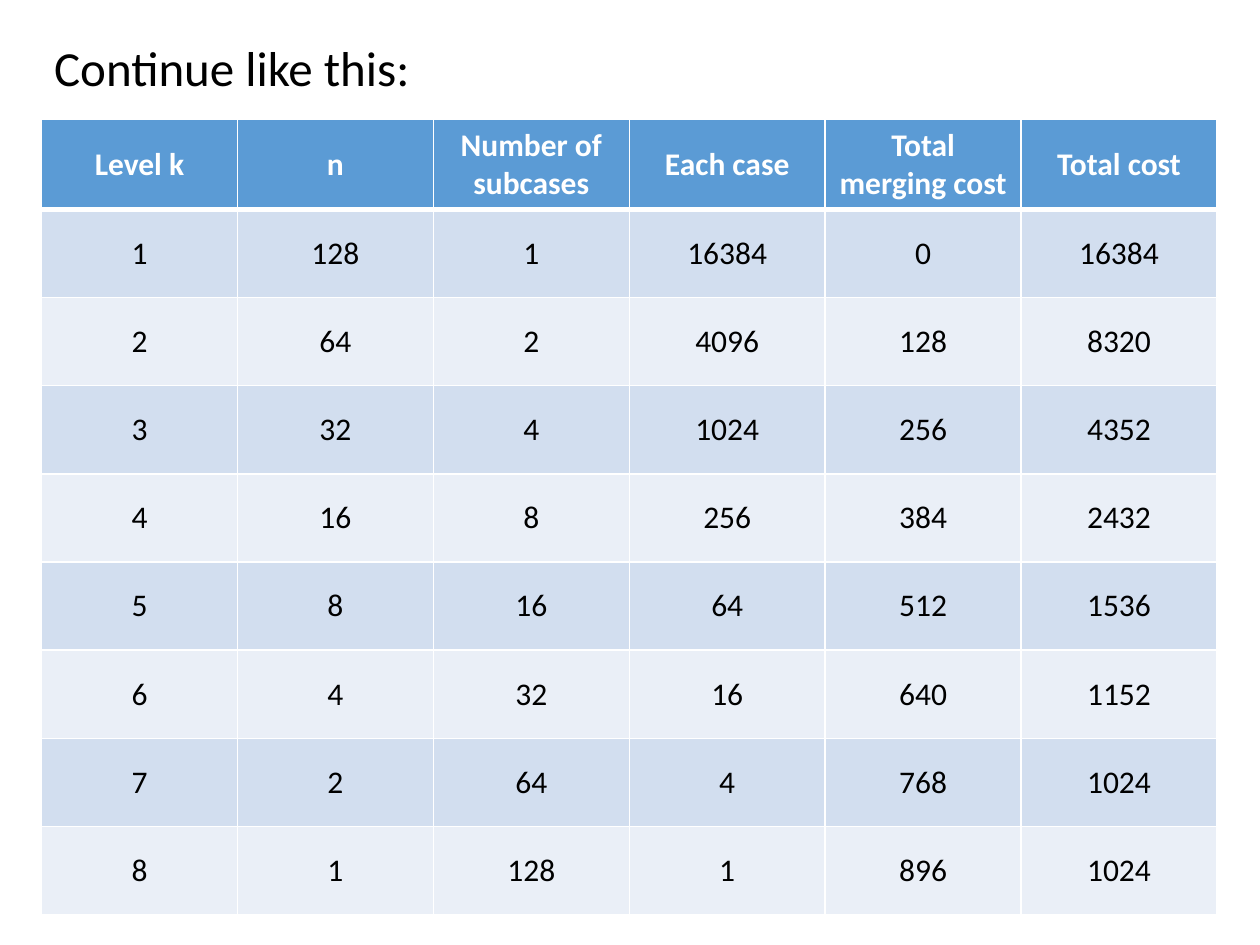
from lxml import etree
from pptx import Presentation
from pptx.dml.color import RGBColor
from pptx.enum import text
from pptx.oxml import ns
from pptx.util import Inches, Pt

HEADING = "Continue like this:"
HEADERS = ("Level k", "n", "Number of subcases", "Each case",
           "Total merging cost", "Total cost")
LEVELS = (
    (1, 128, 1, 16384, 0, 16384),
    (2, 64, 2, 4096, 128, 8320),
    (3, 32, 4, 1024, 256, 4352),
    (4, 16, 8, 256, 384, 2432),
    (5, 8, 16, 64, 512, 1536),
    (6, 4, 32, 16, 640, 1152),
    (7, 2, 64, 4, 768, 1024),
    (8, 1, 128, 1, 896, 1024),
)

FONT = "Calibri"
BLACK = RGBColor(0x00, 0x00, 0x00)
WHITE = RGBColor(0xFF, 0xFF, 0xFF)
HEADER_BLUE = RGBColor(0x5B, 0x9B, 0xD5)
BANDS = (RGBColor(0xEA, 0xEF, 0xF7), RGBColor(0xD2, 0xDE, 0xEF))

LEFT, WIDTH = 0.33, 9.33
HEADING_TOP, HEADING_HEIGHT = 0.3, 6.95
TABLE_TOP, ROW_HEIGHT = 0.95, 0.7


def add_span(para, words, size, color, bold=False):
    span = para.add_run()
    span.text = words
    font = span.font
    font.name, font.size, font.bold = FONT, Pt(size), bold
    font.color.rgb = color


def set_borders(cell, top, bottom):
    """Draw white borders; top and bottom are widths in points."""
    properties = cell._tc.get_or_add_tcPr()
    for side, width in (("L", 1), ("R", 1), ("T", top), ("B", bottom)):
        line = etree.SubElement(properties, ns.qn(f"a:ln{side}"), w=str(Pt(width)))
        fill = etree.SubElement(line, ns.qn("a:solidFill"))
        etree.SubElement(fill, ns.qn("a:srgbClr"), val=str(WHITE))


def add_heading(page):
    box = page.shapes.title
    box.left, box.top = Inches(LEFT), Inches(HEADING_TOP)
    box.width, box.height = Inches(WIDTH), Inches(HEADING_HEIGHT)
    frame = box.text_frame
    frame.word_wrap = True
    frame.auto_size = text.MSO_AUTO_SIZE.NONE
    frame.vertical_anchor = text.MSO_ANCHOR.TOP
    para = frame.paragraphs[0]
    para.alignment = text.PP_ALIGN.LEFT
    para.line_spacing = 0.9
    para.space_before = Pt(10)
    add_span(para, HEADING, 28, BLACK)


def add_cost_table(page):
    rows = (HEADERS,) + LEVELS
    table = page.shapes.add_table(
        len(rows), len(HEADERS), Inches(LEFT), Inches(TABLE_TOP),
        Inches(WIDTH), Inches(ROW_HEIGHT * len(rows))).table
    for r, values in enumerate(rows):
        header = r == 0
        for c, value in enumerate(values):
            cell = table.cell(r, c)
            set_borders(cell, top=3 if r == 1 else 1, bottom=3 if header else 1)
            cell.fill.solid()
            cell.fill.fore_color.rgb = HEADER_BLUE if header else BANDS[r % 2]
            cell.vertical_anchor = text.MSO_ANCHOR.MIDDLE
            para = cell.text_frame.paragraphs[0]
            para.alignment = text.PP_ALIGN.CENTER
            add_span(para, str(value), 18, WHITE if header else BLACK, header)


def main():
    deck = Presentation()
    deck.slide_width, deck.slide_height = Inches(10), Inches(7.5)
    page = deck.slides.add_slide(deck.slide_layouts[5])
    add_heading(page)
    add_cost_table(page)
    deck.save("out.pptx")


if __name__ == "__main__":
    main()
